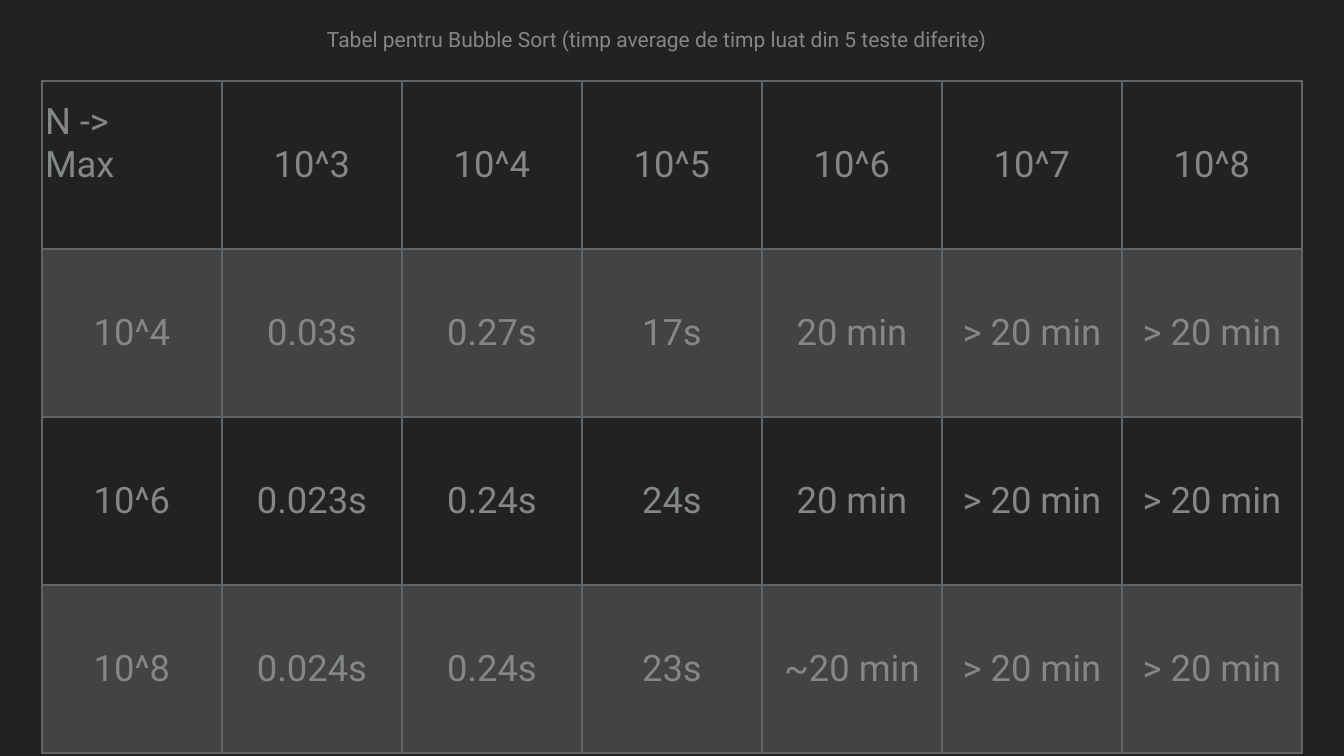
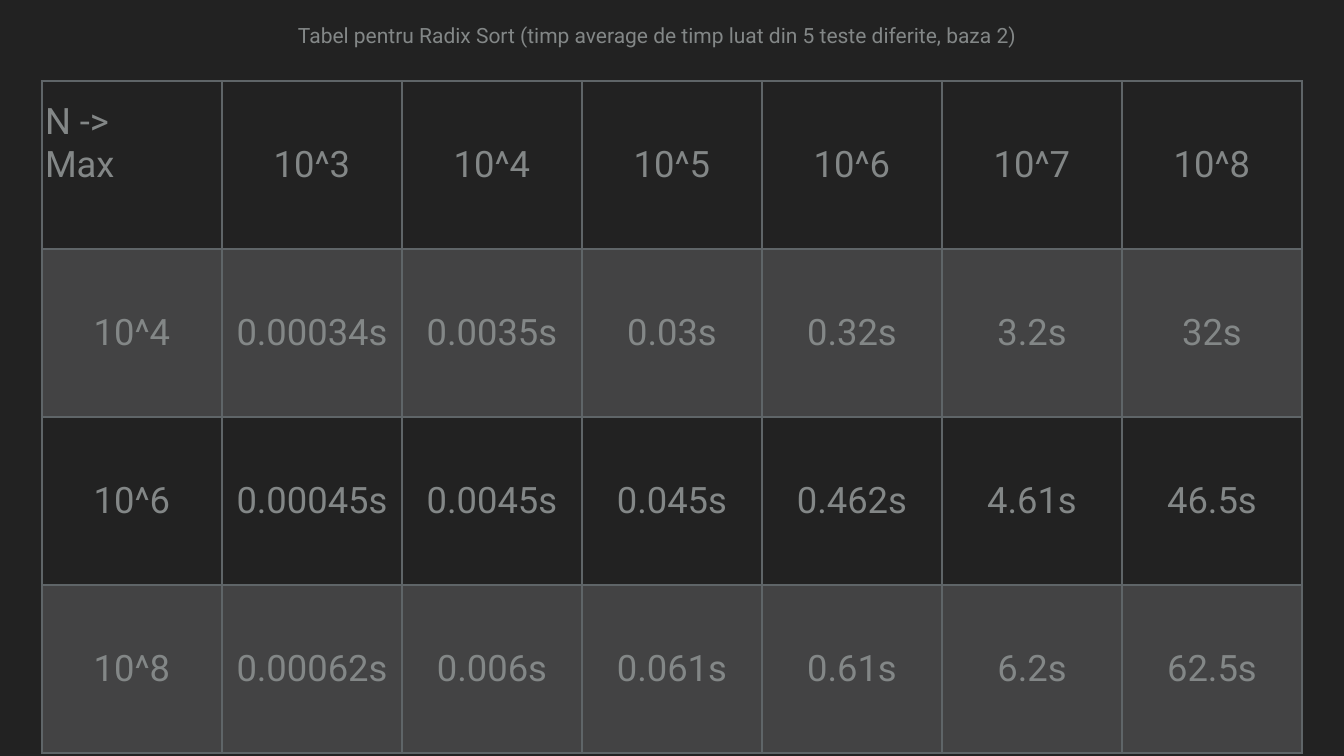
"""Builds two slides with timing tables for sorting algorithms."""
from lxml import etree
from pptx import Presentation, util as u
from pptx.dml.color import RGBColor
from pptx.enum import text
from pptx.oxml.ns import qn

PX = 914400 / 50.4
HUES = {"back": "222222", "ink": "838787", "line": "5F6568", "band": "DCDEE0"}
PAD = 3
COL, ROW = 180, 168
HEAD = ["N ->\vMax", "10^3", "10^4", "10^5", "10^6", "10^7", "10^8"]
LATE = "> 20 min"

SLIDES = [
    ("Tabel pentru Bubble Sort (timp average de timp luat din 5 teste diferite)",
     (324, 22, 696, 34),
     [["10^4", "0.03s", "0.27s", "17s", "20 min", LATE, LATE],
      ["10^6", "0.023s", "0.24s", "24s", "20 min", LATE, LATE],
      ["10^8", "0.024s", "0.24s", "23s", "~20 min", LATE, LATE]]),
    ("Tabel pentru Radix Sort (timp average de timp luat din 5 teste diferite, baza 2)",
     (295, 18, 753, 34),
     [["10^4", "0.00034s", "0.0035s", "0.03s", "0.32s", "3.2s", "32s"],
      ["10^6", "0.00045s", "0.0045s", "0.045s", "0.462s", "4.61s", "46.5s"],
      ["10^8", "0.00062s", "0.006s", "0.061s", "0.61s", "6.2s", "62.5s"]]),
]


def px(n):
    return u.Emu(round(n * PX))


def write(frame, words, size, align):
    para = frame.paragraphs[0]
    para.alignment = align
    para.space_before = u.Pt(34)
    for i, line in enumerate(words.split("\v")):
        if i:
            para.add_line_break()
        run = para.add_run()
        run.text = line
        run.font.name = "Roboto"
        run.font.size = u.Pt(size)
        run.font.color.rgb = RGBColor.from_string(HUES["ink"])


deck = Presentation()
deck.slide_width, deck.slide_height = px(1344), px(756)

for title, spot, times in SLIDES:
    slide = deck.slides.add_slide(deck.slide_layouts[6])
    slide.background.fill.solid()
    slide.background.fill.fore_color.rgb = RGBColor.from_string(HUES["back"])

    rows = [HEAD] + times
    size = [px(n) for n in (42, 81, COL * len(HEAD), ROW * len(rows))]
    table = slide.shapes.add_table(len(rows), len(HEAD), *size).table
    table.first_row = table.horz_banding = False
    for col in table.columns:
        col.width = px(COL)
    for r, row in enumerate(rows):
        table.rows[r].height = px(ROW)
        for c, words in enumerate(row):
            cell = table.cell(r, c)
            corner = r == c == 0
            cell.vertical_anchor = text.MSO_ANCHOR.MIDDLE
            cell.margin_left = cell.margin_right = cell.margin_top = px(PAD)
            cell.margin_bottom = px(PAD + 43 if corner else PAD)
            write(cell.text_frame, words, 52,
                  text.PP_ALIGN.LEFT if corner else text.PP_ALIGN.CENTER)
            if r % 2:
                cell.fill.solid()
                cell.fill.fore_color.rgb = RGBColor.from_string(HUES["band"])
                tint = next(cell.fill._xPr.iter(qn("a:srgbClr")))
                etree.SubElement(tint, qn("a:alpha"), val="18000")
            else:
                cell.fill.background()
            props = cell._tc.get_or_add_tcPr()
            for i, side in enumerate("LRTB"):
                edge = etree.Element(qn("a:ln" + side), w=str(u.Pt(2)))
                paint = etree.SubElement(edge, qn("a:solidFill"))
                etree.SubElement(paint, qn("a:srgbClr"), val=HUES["line"])
                props.insert(i, edge)

    frame = slide.shapes.add_textbox(*[px(n) for n in spot]).text_frame
    frame.margin_left = frame.margin_right = px(PAD)
    frame.margin_top = frame.margin_bottom = px(PAD)
    frame.vertical_anchor = text.MSO_ANCHOR.MIDDLE
    frame.word_wrap = False
    frame.auto_size = text.MSO_AUTO_SIZE.SHAPE_TO_FIT_TEXT
    write(frame, title, 30, text.PP_ALIGN.LEFT)

deck.save("out.pptx")
